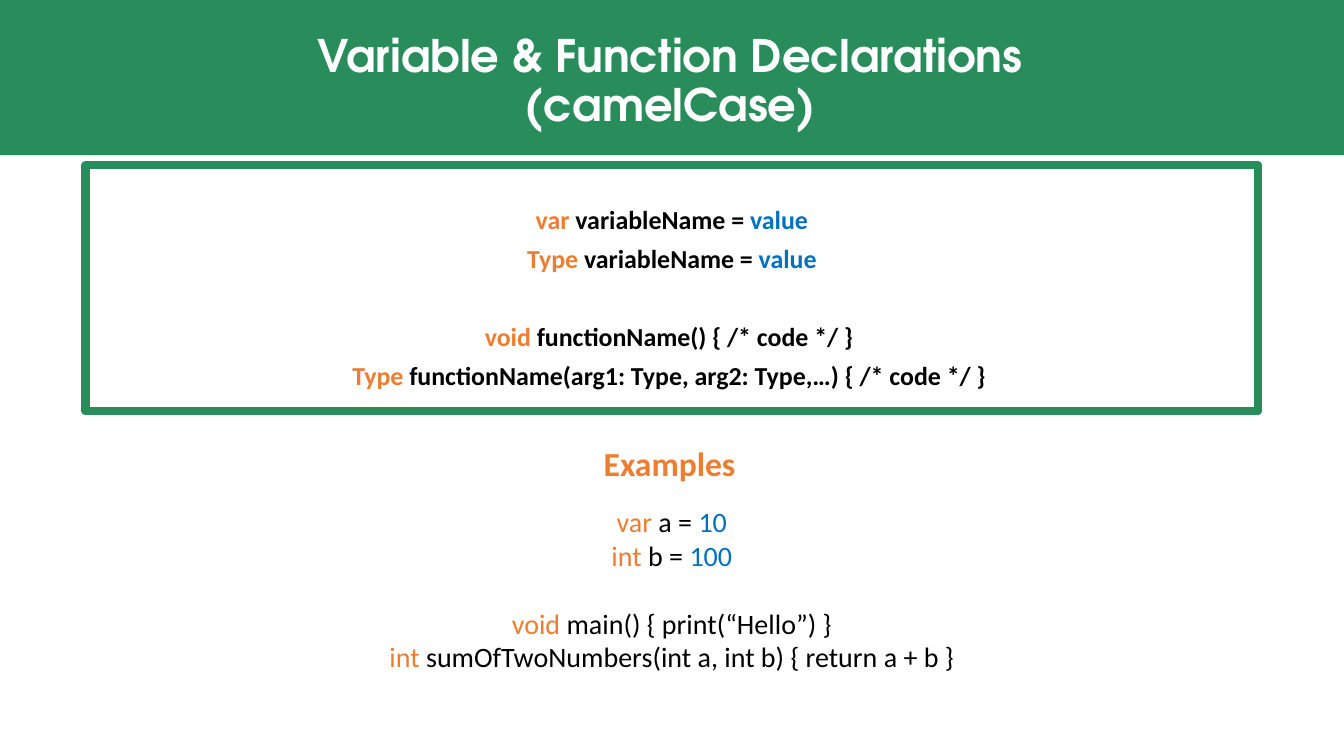
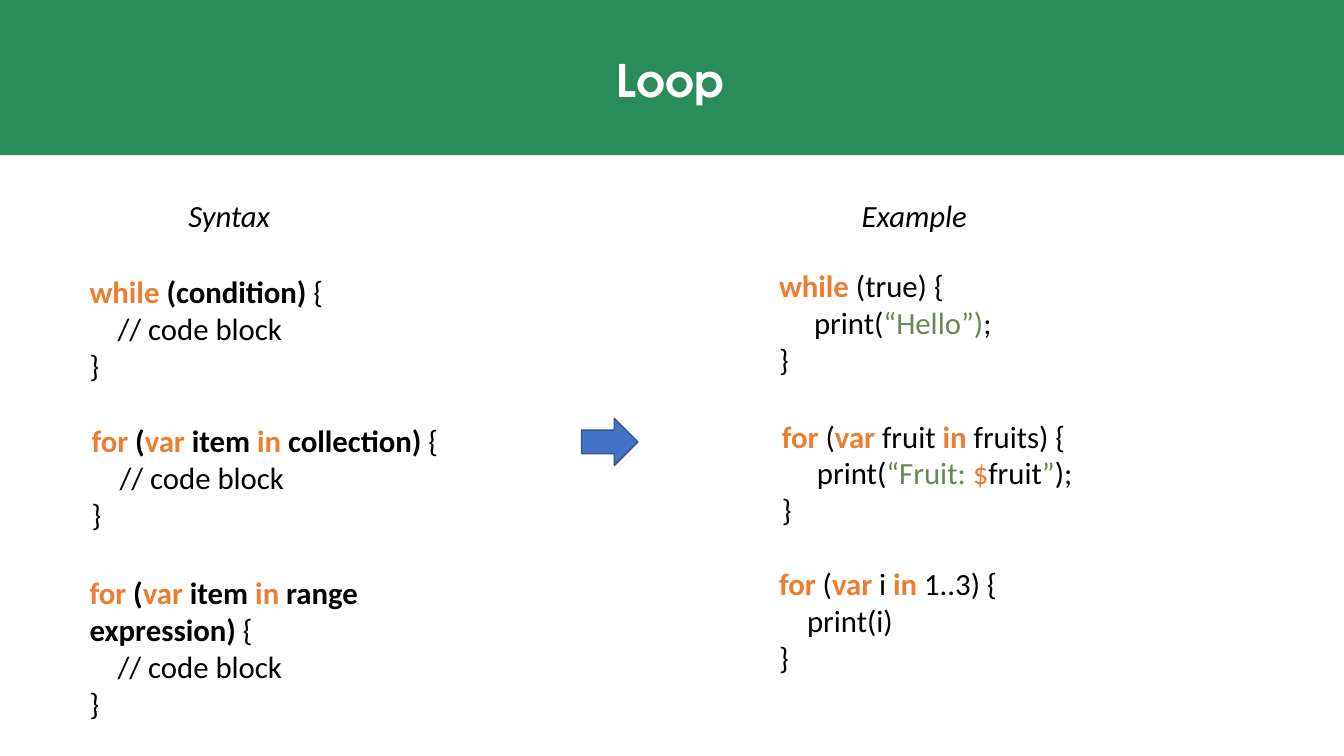
from pptx import Presentation
from pptx.dml.color import RGBColor
from pptx.enum.shapes import MSO_SHAPE
from pptx.enum.text import MSO_ANCHOR, PP_ALIGN
from pptx.util import Pt

RECT, ARROW = MSO_SHAPE.RECTANGLE, MSO_SHAPE.RIGHT_ARROW
TOP, MIDDLE = MSO_ANCHOR.TOP, MSO_ANCHOR.MIDDLE
LEFT, CENTER = PP_ALIGN.LEFT, PP_ALIGN.CENTER

WIDTH, HEIGHT = 960, 540
GREEN, ORANGE, BLUE, BLACK = "288D5B", "ED7D31", "0070C0", "000000"
STRING, WHITE = "6A8759", "FFFFFF"
BODY_FONT, TITLE_FONT = "Calibri", "TeX Gyre Adventor"

# Run styles: colour plus font attributes
STYLES = {
    "title": (WHITE, {"name": TITLE_FONT, "size": Pt(32), "bold": True}),
    "heading": (ORANGE, {"size": Pt(24), "bold": True}),
    "label": (BLACK, {"italic": True}),
    "keyword": (ORANGE, {"bold": True}),
    "strong": (BLACK, {"bold": True}),
    "strong value": (BLUE, {"bold": True}),
    "plain": (BLACK, {}),
    "type": (ORANGE, {}),
    "value": (BLUE, {}),
    "string": (STRING, {}),
}


def rgb(value):
    return RGBColor.from_string(value)


def write(sp, lines, size=22, align=LEFT, anchor=TOP, spacing=1.0):
    """Each line is (runs, space before, left indent); a run is (style, text)."""
    tf = sp.text_frame
    tf.word_wrap = True
    tf.vertical_anchor = anchor
    for i, (runs, before, indent) in enumerate(lines):
        p = tf.paragraphs[0] if i == 0 else tf.add_paragraph()
        for name, value in {"alignment": align, "line_spacing": spacing,
                            "space_before": Pt(before)}.items():
            setattr(p, name, value)
        if indent:
            p._p.get_or_add_pPr().set("marL", str(Pt(indent)))
        for style, text in runs:
            color, font = STYLES[style]
            r = p.add_run()
            r.text = text
            r.font.color.rgb = rgb(color)
            for name, value in {"name": BODY_FONT, "size": Pt(size), **font}.items():
                setattr(r.font, name, value)


prs = Presentation()
prs.slide_width, prs.slide_height = Pt(WIDTH), Pt(HEIGHT)

# Green band and title on every slide
slides = []
for title in (["Variable & Function Declarations", "(camelCase)"], ["Loop"]):
    s = prs.slides.add_slide(prs.slide_layouts[6])
    sp = s.shapes.add_shape(RECT, 0, 0, Pt(WIDTH), Pt(110.9))
    sp.shadow.inherit = False
    sp.fill.solid()
    sp.fill.fore_color.rgb = rgb(GREEN)
    sp.line.fill.background()
    sp = s.shapes.add_textbox(Pt(18.7), Pt(19.4), Pt(920.2), Pt(79.2))
    write(sp, [([("title", text)], 0, 0) for text in title],
          align=CENTER, anchor=MIDDLE, spacing=0.9)
    slides.append(s)
declarations, loop = slides

# Declarations: framed syntax
sp = declarations.shapes.add_shape(RECT, Pt(61.2), Pt(118.1), Pt(837.4), Pt(175.7))
sp.shadow.inherit = False
sp.fill.background()
sp.line.color.rgb = rgb(GREEN)
sp.line.width = Pt(6)
sp.text_frame.margin_top = Pt(31.7)
write(sp, [
    ([("keyword", "var "), ("strong", "variableName = "), ("strong value", "value")], 0, 0),
    ([("keyword", "Type "), ("strong", "variableName = "), ("strong value", "value")], 10, 0),
    ([("keyword", "void "), ("strong", "functionName() { /* code */ } ")], 38, 0),
    ([("keyword", "Type "),
      ("strong", "functionName(arg1: Type, arg2: Type,…) { /* code */ } ")], 10, 0),
], size=18.5, align=CENTER, spacing=0.8)

# Declarations: examples
sp = declarations.shapes.add_textbox(Pt(61.2), Pt(357.1), Pt(837.4), Pt(128.2))
write(sp, [
    ([("type", "var "), ("plain", "a = "), ("value", "10")], 0, 0),
    ([("type", "int "), ("plain", "b = "), ("value", "100")], 0, 0),
    ([("type", "void "), ("plain", "main() { print(“Hello”) }")], 24.4, 0),
    ([("type", "int"), ("plain", " sumOfTwoNumbers(int a, int b) { return a + b }")], 0, 0),
], size=20, align=CENTER)
sp = declarations.shapes.add_textbox(Pt(424.1), Pt(312.5), Pt(109.4), Pt(36))
write(sp, [([("heading", "Examples")], 0, 0)])

# Loop: column labels
for x, w, text in ((127.4, 73.4, "Syntax"), (608.4, 90.7, "Example")):
    sp = loop.shapes.add_textbox(Pt(x), Pt(136.8), Pt(w), Pt(33.8))
    write(sp, [([("label", text)], 0, 0)])

# Loop: code blocks as (left, top, width, height, indent, header, body)
comment = [("plain", "// code block")]
blocks = [
    (56.9, 191.5, 306, 87.1, 20,
     [("keyword", "while"), ("strong", " (condition) "), ("plain", "{")], comment),
    (58.3, 297.4, 306, 87.1, 20,
     [("keyword", "for"), ("strong", " ("), ("keyword", "var"), ("strong", " item "),
      ("keyword", "in"), ("strong", " collection) "), ("plain", "{")], comment),
    (56.9, 406.1, 306, 113.8, 20,
     [("keyword", "for"), ("strong", " ("), ("keyword", "var"), ("strong", " item "),
      ("keyword", "in"), ("strong", " range expression) "), ("plain", "{")], comment),
    (549.4, 187.2, 333, 87.1, 25,
     [("keyword", "while "), ("plain", "(true) {")],
     [("plain", "print("), ("string", "“Hello”)"), ("plain", ";")]),
    (551.5, 294.5, 333, 87.1, 25,
     [("keyword", "for "), ("plain", "("), ("keyword", "var"), ("plain", " fruit "),
      ("keyword", "in "), ("plain", "fruits) {")],
     [("plain", "print("), ("string", "“Fruit: "), ("type", "$"), ("plain", "fruit"),
      ("string", "”"), ("plain", ");")]),
    (549.4, 399.6, 333, 87.1, 20,
     [("keyword", "for"), ("plain", " ("), ("keyword", "var"), ("plain", " i "),
      ("keyword", "in"), ("plain", " 1..3) {")],
     [("plain", "print(i)")]),
]
for x, y, w, h, indent, header, body in blocks:
    sp = loop.shapes.add_textbox(Pt(x), Pt(y), Pt(w), Pt(h))
    write(sp, [(header, 0, 0), (body, 0, indent), ([("plain", "}")], 0, 0)])

# Loop: arrow from syntax to example
sp = loop.shapes.add_shape(ARROW, Pt(415.4), Pt(298.8), Pt(40.3), Pt(33.8))
sp.shadow.inherit = False
sp.fill.solid()
sp.fill.fore_color.rgb = rgb("4472C4")
sp.line.color.rgb = rgb("31538F")
sp.line.width = Pt(1)

prs.save("out.pptx")
